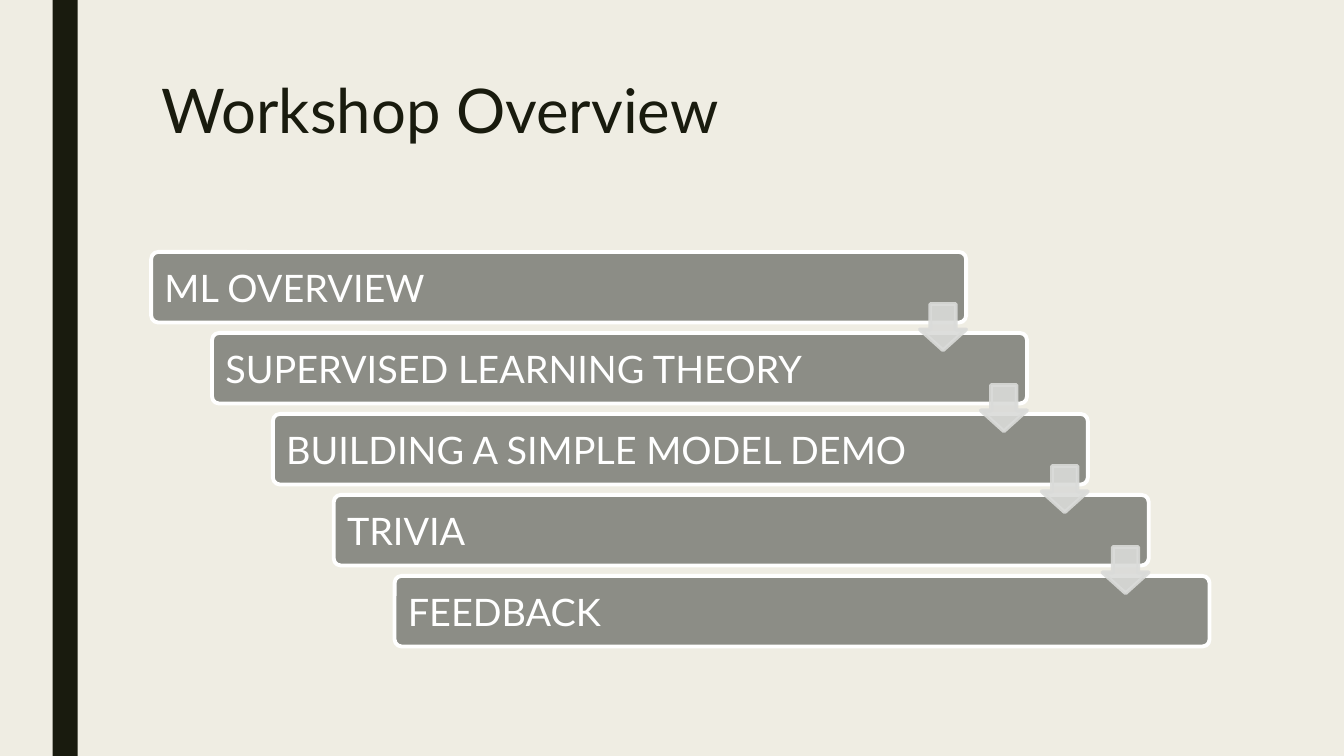
from lxml import etree
from pptx import Presentation
from pptx.dml.color import RGBColor
from pptx.enum.shapes import MSO_SHAPE as SHAPE
from pptx.enum.text import MSO_ANCHOR as ANCHOR, PP_ALIGN as ALIGN
from pptx.oxml.ns import qn
from pptx.util import Pt

CREAM = RGBColor(0xEF, 0xED, 0xE3)
INK = RGBColor(0x19, 0x1B, 0x0E)
GRAY = RGBColor(0x8C, 0x8D, 0x86)
PALE = RGBColor(0xDA, 0xDB, 0xD9)
WHITE = RGBColor(0xFF, 0xFF, 0xFF)
FONT = "Lato"
STEPS = ["ML OVERVIEW", "SUPERVISED LEARNING THEORY",
         "BUILDING A SIMPLE MODEL DEMO", "TRIVIA", "FEEDBACK"]


def add_box(s, kind, box, fill, line=None):
    sp = s.shapes.add_shape(kind, *map(Pt, box))
    sp.shadow.inherit = False
    sp.fill.solid()
    sp.fill.fore_color.rgb = fill
    if line is None:
        sp.line.fill.background()
    else:
        sp.line.color.rgb = line
        sp.line.width = Pt(2.75)
    return sp


def set_text(tf, text, size, color):
    tf.word_wrap = True
    tf.text = text
    p = tf.paragraphs[0]
    p.alignment = ALIGN.LEFT
    font = p.runs[0].font
    font.name, font.size, font.color.rgb = FONT, Pt(size), color
    return p


def add_title(s, box, text):
    tf = s.shapes.add_textbox(*map(Pt, box)).text_frame
    tf.vertical_anchor = ANCHOR.TOP
    set_text(tf, text, 44, INK).line_spacing = 0.89


def add_step(s, box, text):
    sp = add_box(s, SHAPE.ROUNDED_RECTANGLE, box, GRAY, WHITE)
    sp.adjustments[0] = 0.1
    tf = sp.text_frame
    tf.margin_left = tf.margin_right = tf.margin_top = tf.margin_bottom = Pt(8)
    tf.vertical_anchor = ANCHOR.MIDDLE
    set_text(tf, text, 27, WHITE)


def add_arrow(s, box):
    sp = add_box(s, SHAPE.DOWN_ARROW, box, PALE, PALE)
    sp.adjustments[0], sp.adjustments[1] = 0.55, 0.45
    for color in sp._element.spPr.iter(qn("a:srgbClr")):
        etree.SubElement(color, qn("a:alpha")).set("val", "90000")


def add_staircase(s, box, steps):
    """Fill the box with descending bars, linked by arrows at their right ends."""
    left, top, width, height = box
    bar_w, bar_h, arrow = width * 0.77, 50.4, 33
    dx = (width - bar_w) / (len(steps) - 1)
    dy = (height - bar_h) / (len(steps) - 1)
    corners = [(left + i * dx, top + i * dy) for i in range(len(steps))]
    for (x, y), text in zip(corners, steps):
        add_step(s, (x, y, bar_w, bar_h), text)
    for x, y in corners[:-1]:
        add_arrow(s, (x + bar_w - arrow, y + 37.2, arrow, arrow))


def main():
    prs = Presentation()
    prs.slide_width, prs.slide_height = Pt(960), Pt(540)
    s = prs.slides.add_slide(prs.slide_layouts[6])
    s.background.fill.solid()
    s.background.fill.fore_color.rgb = CREAM
    add_box(s, SHAPE.RECTANGLE, (37.5, 0, 18, 540), INK)
    add_title(s, (108, 54, 756, 117), "Workshop Overview")
    add_staircase(s, (108, 180, 756, 281.8), STEPS)
    prs.save("out.pptx")


if __name__ == "__main__":
    main()
